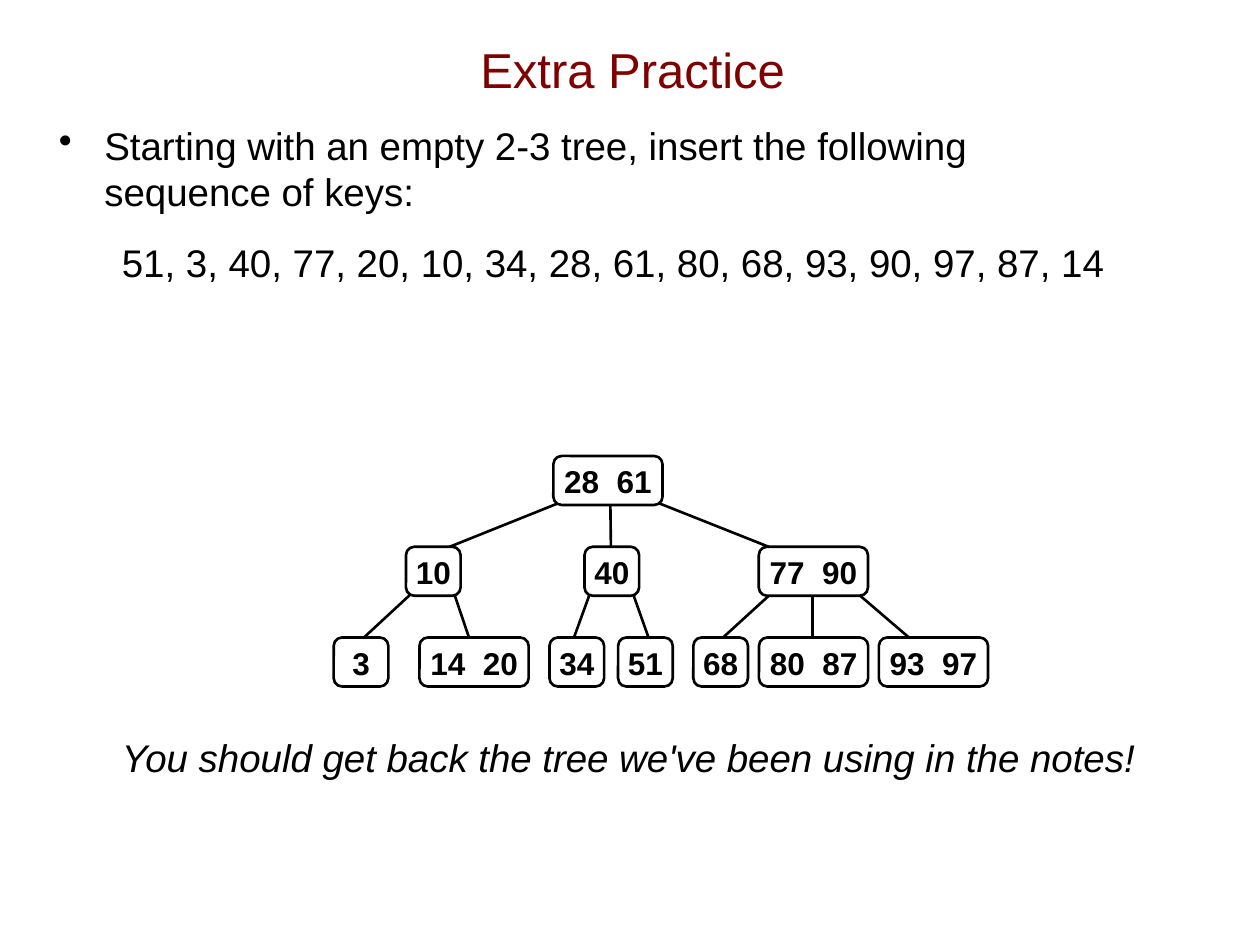
from pptx import Presentation
from pptx import util as u
from pptx.dml.color import RGBColor
from pptx.enum import shapes, text
from pptx.oxml.ns import qn
from lxml import etree

NODE_HEIGHT = 28
NODE_WIDTHS = {1: 31.2, 2: 62.4}
TREE_TOP, LEVEL_STEP = 260.6, 51.85
ROOT = ("28  61", 316.2, 0)
CHILDREN = [
    ("10", 232, 1, 319, 257),
    ("40", 334, 1, 348.8, 349.1),
    ("77  90", 433.6, 1, 376.6, 439.2),
    ("3", 190.7, 2, 234.8, 208),
    ("14  20", 239.7, 2, 259.6, 268),
    ("34", 314, 2, 337, 328),
    ("51", 353.2, 2, 361.8, 370.6),
    ("68", 396.2, 2, 440.4, 413.2),
    ("80  87", 433.7, 2, 464.4, 464.4),
    ("93  97", 502.2, 2, 490.4, 519.4),
]


def colour(value):
    return RGBColor.from_string(value)


def apply(target, values):
    for name, value in values.items():
        setattr(target, name, value)


class SlideBuilder:
    ink = "000000"
    paper = "FFFFFF"
    heading = "800000"
    font = "Arial"
    line_width = 1.5

    def __init__(self, slide):
        self.slide = slide

    def style_line(self, line):
        line.color.rgb = colour(self.ink)
        line.width = u.Pt(self.line_width)

    def add_text(self, paragraph, content, size, ink=None, **font_values):
        for index, part in enumerate(content.split("\n")):
            if index:
                paragraph.add_line_break()
            run = paragraph.add_run()
            run.text = part
            apply(run.font, {"name": self.font, "size": u.Pt(size), **font_values})
            run.font.color.rgb = colour(ink or self.ink)

    def text_box(self, left, top, width, height, **frame_values):
        shape = self.slide.shapes.add_textbox(*map(u.Pt, (left, top, width, height)))
        apply(shape.text_frame, {"word_wrap": True, **frame_values})
        return shape.text_frame

    def title(self, content):
        frame = self.text_box(31, 5.8, 661, 67, vertical_anchor=text.MSO_ANCHOR.MIDDLE)
        paragraph = frame.paragraphs[0]
        paragraph.alignment = text.PP_ALIGN.CENTER
        self.add_text(paragraph, content, 28, self.heading)

    def indent(self, paragraph, margin, first_line=0, bullet=None):
        properties = paragraph._p.get_or_add_pPr()
        properties.set("marL", str(u.Pt(margin)))
        properties.set("indent", str(u.Pt(first_line)))
        if bullet:
            etree.SubElement(properties, qn("a:buChar")).set("char", bullet)

    def exercise(self, question, keys):
        frame = self.text_box(26.6, 66.2, 693, 110)
        paragraph = frame.paragraphs[0]
        self.indent(paragraph, 26, -26, "•")
        self.add_text(paragraph, question, 22)
        paragraph = frame.add_paragraph()
        paragraph.space_before = u.Pt(14)
        self.indent(paragraph, 36)
        self.add_text(paragraph, keys, 22)

    def remark(self, content):
        paragraph = self.text_box(26.6, 416, 693, 36).paragraphs[0]
        self.indent(paragraph, 36)
        self.add_text(paragraph, content, 22, italic=True)

    def edge(self, level, parent_x, child_x):
        child_top = TREE_TOP + level * LEVEL_STEP
        parent_bottom = child_top - LEVEL_STEP + NODE_HEIGHT - 1
        ends = map(u.Pt, (parent_x, parent_bottom, child_x, child_top))
        connector = self.slide.shapes.add_connector(shapes.MSO_CONNECTOR.STRAIGHT, *ends)
        self.style_line(connector.line)
        etree.SubElement(connector._element.spPr, qn("a:effectLst"))

    def node(self, keys, left, level):
        box = (left, TREE_TOP + level * LEVEL_STEP, NODE_WIDTHS[len(keys.split())], NODE_HEIGHT)
        shape = self.slide.shapes.add_shape(
            shapes.MSO_SHAPE.ROUNDED_RECTANGLE, *map(u.Pt, box))
        shape.adjustments[0] = 0.17
        shape.shadow.inherit = False
        shape.fill.solid()
        shape.fill.fore_color.rgb = colour(self.paper)
        self.style_line(shape.line)
        apply(shape.text_frame, {
            "margin_left": 0, "margin_right": 0, "margin_top": u.Pt(1), "margin_bottom": 0,
            "word_wrap": False, "vertical_anchor": text.MSO_ANCHOR.MIDDLE})
        paragraph = shape.text_frame.paragraphs[0]
        paragraph.alignment = text.PP_ALIGN.CENTER
        self.add_text(paragraph, keys, 18, bold=True)


def main():
    presentation = Presentation()
    apply(presentation, {"slide_width": u.Pt(720), "slide_height": u.Pt(540)})
    slide = presentation.slides.add_slide(presentation.slide_layouts[6])
    builder = SlideBuilder(slide)
    builder.title("Extra Practice")
    builder.exercise(
        "Starting with an empty 2-3 tree, insert the following \nsequence of keys:",
        "51, 3, 40, 77, 20, 10, 34, 28, 61, 80, 68, 93, 90, 97, 87, 14")
    for keys, left, level, parent_x, child_x in CHILDREN:
        builder.edge(level, parent_x, child_x)
    builder.node(*ROOT)
    for keys, left, level, parent_x, child_x in CHILDREN:
        builder.node(keys, left, level)
    builder.remark("You should get back the tree we've been using in the notes!")
    presentation.save("out.pptx")


if __name__ == "__main__":
    main()
